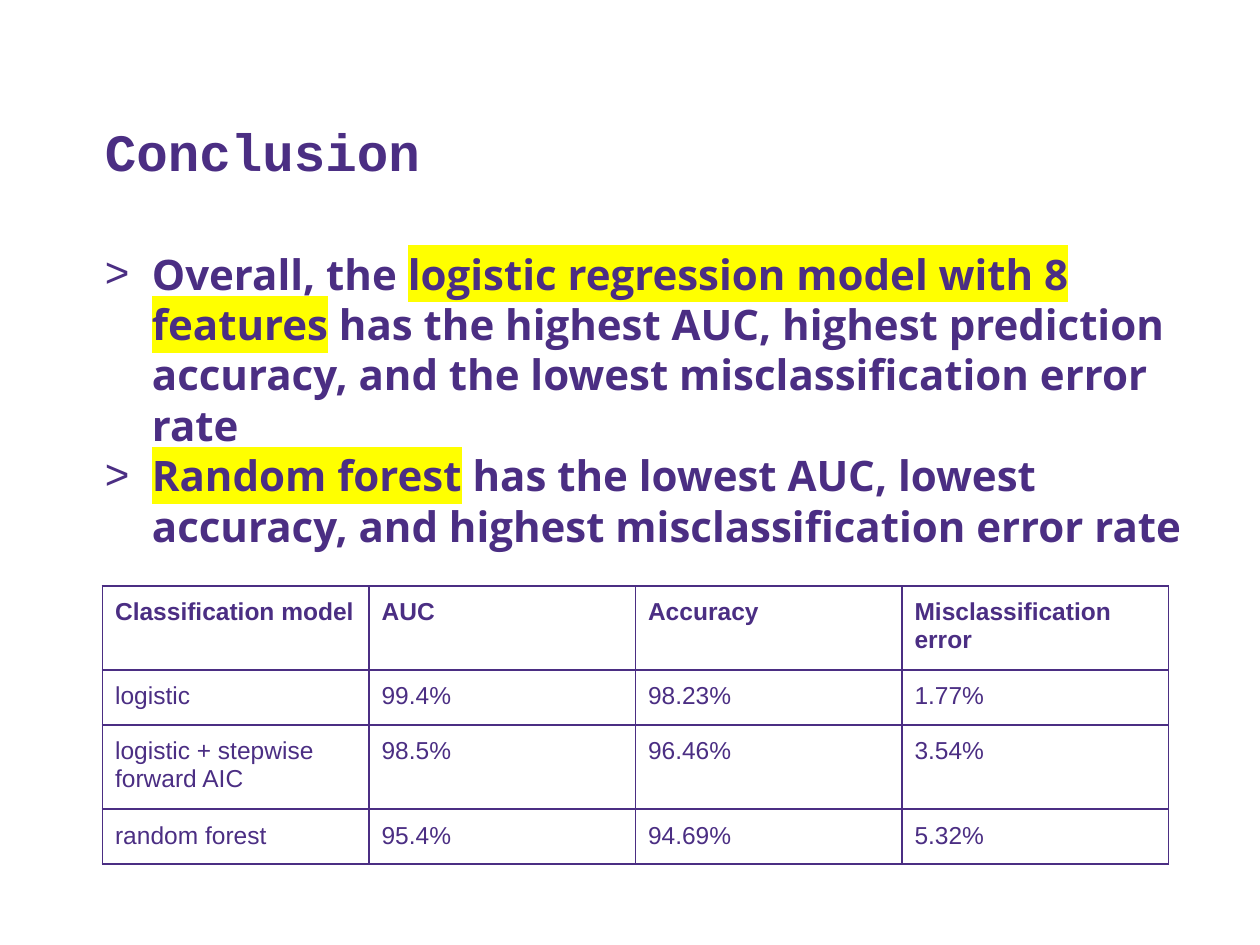
from pptx import Presentation
from pptx.dml.color import RGBColor
from pptx.enum.text import MSO_ANCHOR
from pptx.util import Emu, Pt
from lxml import etree

BOTTOM, TOP = MSO_ANCHOR.BOTTOM, MSO_ANCHOR.TOP
PX = 914400 / 126
A = "http://schemas.openxmlformats.org/drawingml/2006/main"
COLORS = {"purple": "4B2E83", "yellow": "FFFF00"}

TITLE = [[("Conclusion", False)]]
BULLETS = [
    [("Overall, the ", False),
     ("logistic regression model with 8 features", True),
     (" has the highest AUC, highest prediction accuracy, and the lowest "
      "misclassification error rate", False)],
    [("Random forest", True),
     (" has the lowest AUC, lowest accuracy, and highest misclassification "
      "error rate", False)],
]
RESULTS = [
    ("Classification model", "AUC", "Accuracy", "Misclassification error"),
    ("logistic", "99.4%", "98.23%", "1.77%"),
    ("logistic + stepwise forward AIC", "98.5%", "96.46%", "3.54%"),
    ("random forest", "95.4%", "94.69%", "5.32%"),
]
TITLE_BOX = (92.5, 52, 1128, 136)
BODY_BOX = (92.5, 242, 1129, 643)
TABLE_LEFT, TABLE_TOP, COL_WIDTH = 102.5, 586, 266.5
ROW_HEIGHTS = [58, 55, 55, 54]
CELL_INSET, BULLET_INDENT = 12.6, 47


def px(n):
    return Emu(round(n * PX))


def add_xml(parent, tag, **attrs):
    return etree.SubElement(parent, f"{{{A}}}{tag}", attrs)


def add_color(parent, tag, color):
    add_xml(add_xml(parent, tag), "srgbClr", val=COLORS[color])


def write(tf, paragraphs, size, font, bold=True, bullet=None):
    tf.word_wrap = True
    for i, runs in enumerate(paragraphs):
        p = tf.paragraphs[0] if i == 0 else tf.add_paragraph()
        if bullet:
            pPr = p._p.get_or_add_pPr()
            pPr.set("marL", str(px(BULLET_INDENT)))
            pPr.set("indent", str(-px(BULLET_INDENT)))
            add_color(pPr, "buClr", "purple")
            add_xml(pPr, "buFont", typeface="Arial")
            add_xml(pPr, "buChar", char=bullet)
        for text, marked in runs:
            r = p.add_run()
            r.text = text
            r.font.size, r.font.bold = Pt(size), bold
            r.font.color.rgb = RGBColor.from_string(COLORS["purple"])
            if marked:
                add_color(r._r.get_or_add_rPr(), "highlight", "yellow")
            r.font.name = font


def add_text(box, paragraphs, anchor=TOP, **fmt):
    tf = s.shapes.add_textbox(*map(px, box)).text_frame
    tf.vertical_anchor = anchor
    write(tf, paragraphs, **fmt)


def add_borders(cell):
    tcPr = cell._tc.get_or_add_tcPr()
    for i, side in enumerate(("lnL", "lnR", "lnT", "lnB")):
        ln = etree.Element(f"{{{A}}}{side}", w=str(Pt(1)))
        add_color(ln, "solidFill", "purple")
        tcPr.insert(i, ln)


prs = Presentation()
prs.slide_width, prs.slide_height = px(1260), px(945)
s = prs.slides.add_slide(prs.slide_layouts[6])

add_text(TITLE_BOX, TITLE, anchor=BOTTOM, size=30, font="Courier New")
add_text(BODY_BOX, BULLETS, size=24, font="Open Sans", bullet=">")

table = s.shapes.add_table(
    len(RESULTS), len(RESULTS[0]), px(TABLE_LEFT), px(TABLE_TOP),
    px(COL_WIDTH * len(RESULTS[0])), px(sum(ROW_HEIGHTS))).table
table.horz_banding = False
for col in table.columns:
    col.width = px(COL_WIDTH)
for i, (values, height) in enumerate(zip(RESULTS, ROW_HEIGHTS)):
    table.rows[i].height = px(height)
    for j, value in enumerate(values):
        cell = table.cell(i, j)
        cell.margin_left = cell.margin_right = px(CELL_INSET)
        cell.margin_top = cell.margin_bottom = px(CELL_INSET)
        cell.fill.background()
        add_borders(cell)
        write(cell.text_frame, [[(value, False)]], size=14, font="Arial", bold=i == 0)

prs.save("out.pptx")
